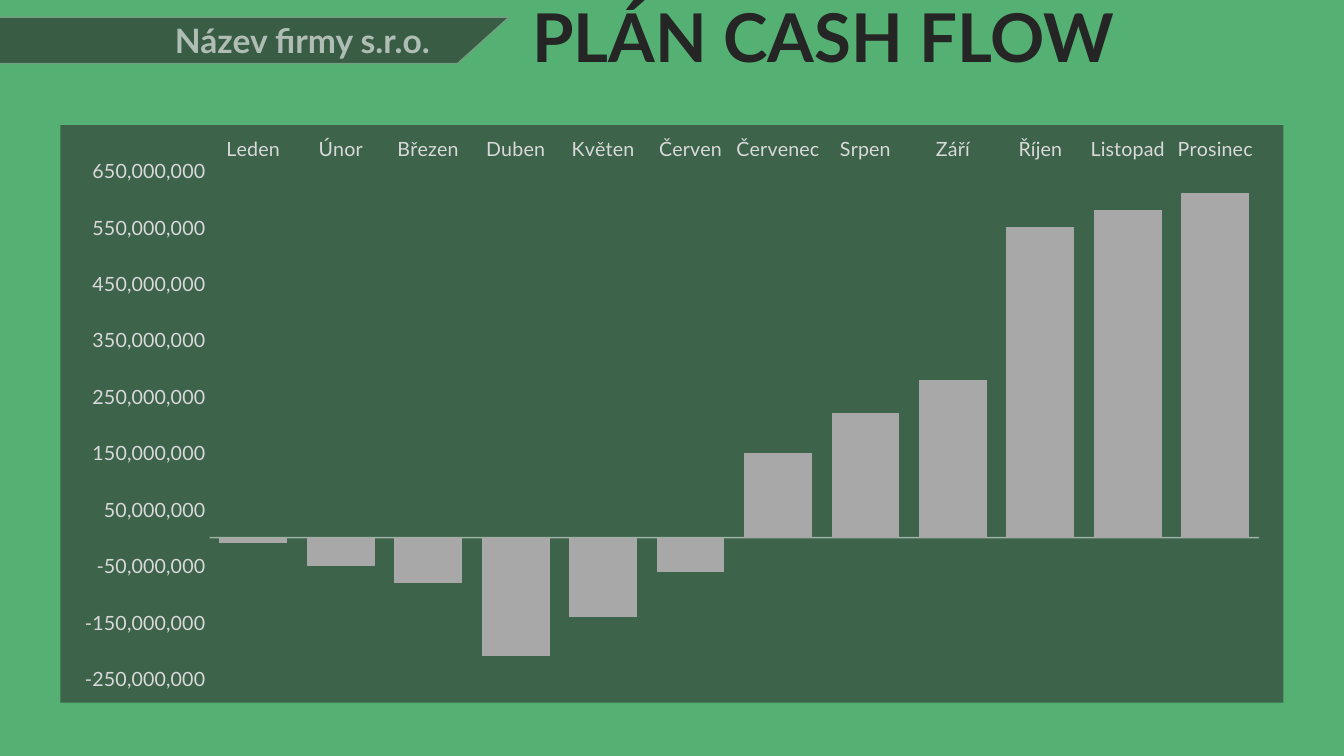
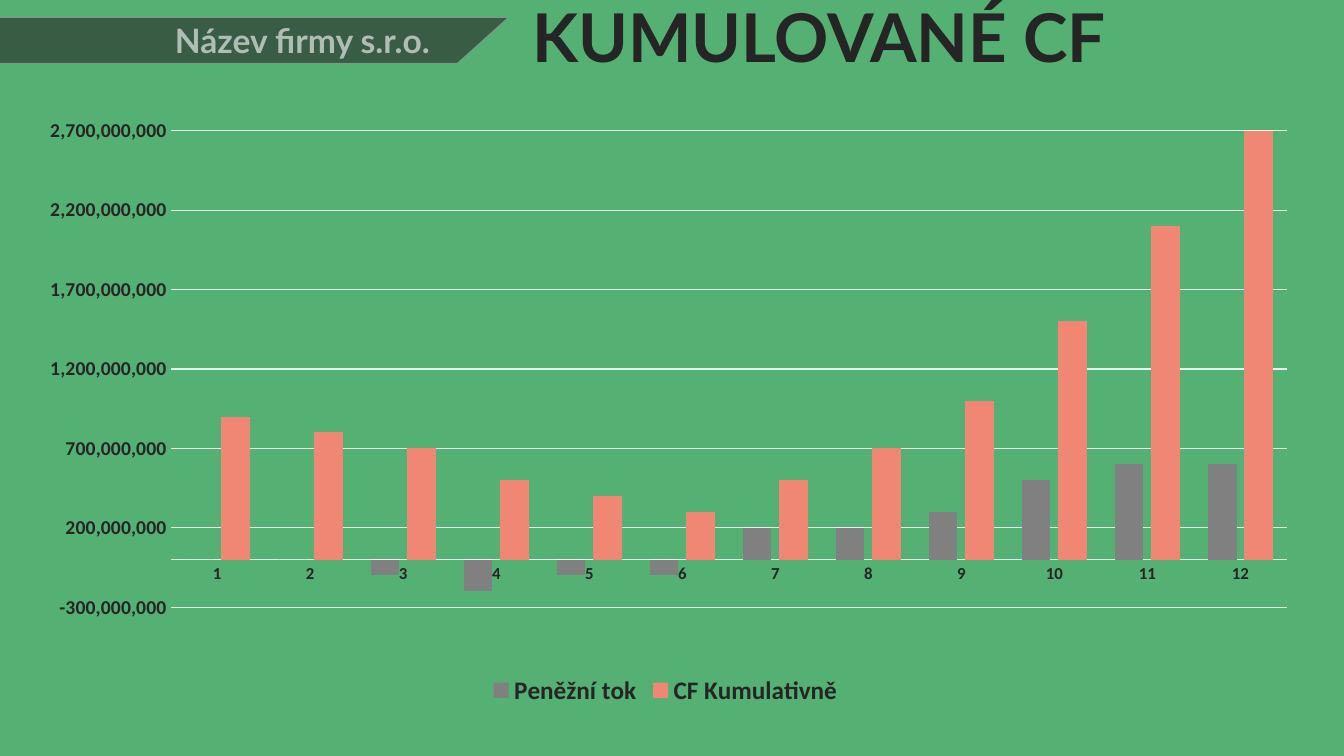
from dataclasses import dataclass
from lxml.etree import SubElement
from pptx import Presentation
from pptx.chart.data import CategoryChartData
from pptx.dml.color import RGBColor
from pptx.enum.chart import XL_CHART_TYPE, XL_LEGEND_POSITION, XL_TICK_LABEL_POSITION, XL_TICK_MARK
from pptx.enum.shapes import MSO_SHAPE
from pptx.enum.text import MSO_ANCHOR, PP_ALIGN
from pptx.oxml import parse_xml
from pptx.oxml.ns import nsdecls, qn
from pptx.util import Inches, Pt


@dataclass(frozen=True)
class Theme:
    back: str = "55B073"
    ink: str = "252525"
    white: str = "FFFFFF"
    edge: str = "72A081"
    panel: str = "3D634A"
    label: str = "D9D9D9"
    axis: str = "F2F2F2"
    grid: str = "E5F3EA"
    bar: str = "A8A8A8"
    gray: str = "808080"
    coral: str = "F08774"
    head: str = "Lato"
    body: str = "Calibri"
    title: int = 48
    brand: int = 24
    key: int = 18
    tick: int = 14
    small: int = 12


T = Theme()
MIL = 1_000_000
MONTHS = ["Leden", "Únor", "Březen", "Duben", "Květen", "Červen",
          "Červenec", "Srpen", "Září", "Říjen", "Listopad", "Prosinec"]

PLAN = dict(
    title="PLÁN CASH FLOW",
    box=(0.6, 1.24, 12.13, 5.73),
    cats=MONTHS,
    series=[("Series 1", T.bar,
             [-10, -50, -80, -210, -140, -60, 150, 220, 280, 550, 580, 610])],
    plot=dict(gap_width=29, overlap=-24),
    scale=dict(minimum_scale=-250 * MIL, maximum_scale=650 * MIL, major_unit=100 * MIL),
    font=dict(name=T.head, bold=False), color=T.label, size=T.tick,
    line=(T.axis, 1, 54), fill=T.panel, high=True)

TOTAL = dict(
    title="KUMULOVANÉ CF",
    box=(0.31, 1.02, 12.58, 6.03),
    cats=[str(n) for n in range(1, 13)],
    series=[("Peněžní tok", T.gray,
             [0, 0, -100, -200, -100, -100, 200, 200, 300, 500, 600, 600]),
            ("CF Kumulativně", T.coral,
             [900, 800, 700, 500, 400, 300, 500, 700, 1000, 1500, 2100, 2700])],
    plot=dict(gap_width=100, overlap=-27),
    scale=dict(minimum_scale=-300 * MIL, maximum_scale=2800 * MIL, major_unit=500 * MIL),
    font=dict(name=T.body, bold=True), color=T.ink, size=T.small,
    line=(T.grid, 0.75, 100), grid=True, legend=True,
    frame=dict(x=0.11, y=0.02, w=0.88, h=0.81))


def put(item, values):
    for name, value in values.items():
        setattr(item, name, value)


def paint(fill, color):
    fill.solid()
    fill.fore_color.rgb = RGBColor.from_string(color)


def fade(root, query, percent):
    for node in root.xpath(query):
        SubElement(node, qn("a:alpha"), val=str(percent * 1000))


def style(font, color, size, **values):
    put(font, dict(values, size=Pt(size)))
    paint(font.fill, color)


def draw(line, color, width):
    paint(line.fill, color)
    line.width = Pt(width)


def place(box):
    return [Inches(n) for n in box]


def band(slide, box):
    shape = slide.shapes.add_shape(MSO_SHAPE.PARALLELOGRAM, *place(box))
    shape.shadow.inherit = False
    shape.adjustments[0] = 1.11
    paint(shape.fill, T.ink)
    fade(shape._element, "./p:spPr/a:solidFill/a:srgbClr", 60)
    draw(shape.line, T.edge, 1)
    frame = shape.text_frame
    put(frame, dict(vertical_anchor=MSO_ANCHOR.MIDDLE, word_wrap=True))
    para = frame.paragraphs[0]
    para.alignment = PP_ALIGN.RIGHT
    run = para.add_run()
    run.text = "Název firmy s.r.o."
    style(run.font, T.white, T.brand, name=T.head, bold=True)
    fade(run._r, ".//a:srgbClr", 60)


def header(slide, box, text):
    frame = slide.shapes.add_textbox(*place(box)).text_frame
    put(frame, dict(vertical_anchor=MSO_ANCHOR.MIDDLE, word_wrap=True))
    para = frame.paragraphs[0]
    para.line_spacing = 0.9
    run = para.add_run()
    run.text = text
    style(run.font, T.ink, T.title, name=T.head, bold=True)


def set_area(chart, color):
    area = parse_xml(
        f'<c:spPr {nsdecls("c", "a")}><a:solidFill><a:srgbClr val="{color}"/>'
        '</a:solidFill><a:ln><a:noFill/></a:ln></c:spPr>')
    chart._chartSpace.find(qn("c:chart")).addnext(area)


def set_frame(chart, sides):
    area = chart._chartSpace.find(qn("c:chart")).find(qn("c:plotArea"))
    for old in area.findall(qn("c:layout")):
        area.remove(old)
    modes = '<c:xMode val="edge"/><c:yMode val="edge"/>'
    parts = "".join(f'<c:{side} val="{size}"/>' for side, size in sides.items())
    area.insert(0, parse_xml(
        f'<c:layout {nsdecls("c")}><c:manualLayout><c:layoutTarget val="inner"/>'
        f'{modes}{parts}</c:manualLayout></c:layout>'))


def set_axes(chart, view):
    cat, val = chart.category_axis, chart.value_axis
    marks = dict(major_tick_mark=XL_TICK_MARK.NONE, minor_tick_mark=XL_TICK_MARK.NONE)
    for axis, size in ((cat, view["size"]), (val, T.tick)):
        put(axis, marks)
        style(axis.tick_labels.font, view["color"], size, **view["font"])
    color, width, alpha = view["line"]
    draw(cat.format.line, color, width)
    if alpha < 100:
        fade(cat._element, "./c:spPr/a:ln/a:solidFill/a:srgbClr", alpha)
    if view.get("high"):
        cat.tick_labels.offset = 100
        cat.tick_label_position = XL_TICK_LABEL_POSITION.HIGH
    cat.has_major_gridlines = False
    put(val, dict(view["scale"], has_major_gridlines=view.get("grid", False)))
    put(val.tick_labels, dict(number_format="#,##0", number_format_is_linked=False))
    val.format.line.fill.background()
    if view.get("grid"):
        draw(val.major_gridlines.format.line, color, width)


def graph(slide, box, view):
    data = CategoryChartData(number_format="#,##0")
    data.categories = view["cats"]
    for name, color, values in view["series"]:
        data.add_series(name, [n * MIL for n in values])
    chart = slide.shapes.add_chart(
        XL_CHART_TYPE.COLUMN_CLUSTERED, *place(box), data).chart
    put(chart, dict(has_title=False, has_legend=view.get("legend", False)))
    style(chart.font, view["color"], T.tick, **view["font"])
    plot = chart.plots[0]
    put(plot, dict(view["plot"], vary_by_categories=False))
    for bars, (name, color, values) in zip(plot.series, view["series"]):
        bars.invert_if_negative = False
        paint(bars.format.fill, color)
    set_axes(chart, view)
    if chart.has_legend:
        put(chart.legend, dict(position=XL_LEGEND_POSITION.BOTTOM, include_in_layout=False))
        style(chart.legend.font, view["color"], T.key, **view["font"])
    if "fill" in view:
        set_area(chart, view["fill"])
    if "frame" in view:
        set_frame(chart, view["frame"])


def page(deck, view):
    slide = deck.slides.add_slide(deck.slide_layouts[6])
    band(slide, (-0.65, 0.17, 5.7, 0.46))
    header(slide, (5.18, -0.07, 7.91, 0.94), view["title"])
    graph(slide, view["box"], view)


def main():
    deck = Presentation()
    put(deck, dict(slide_width=Inches(13.33), slide_height=Inches(7.5)))
    paint(deck.slide_master.background.fill, T.back)
    for view in (PLAN, TOTAL):
        page(deck, view)
    deck.save("out.pptx")


if __name__ == "__main__":
    main()
